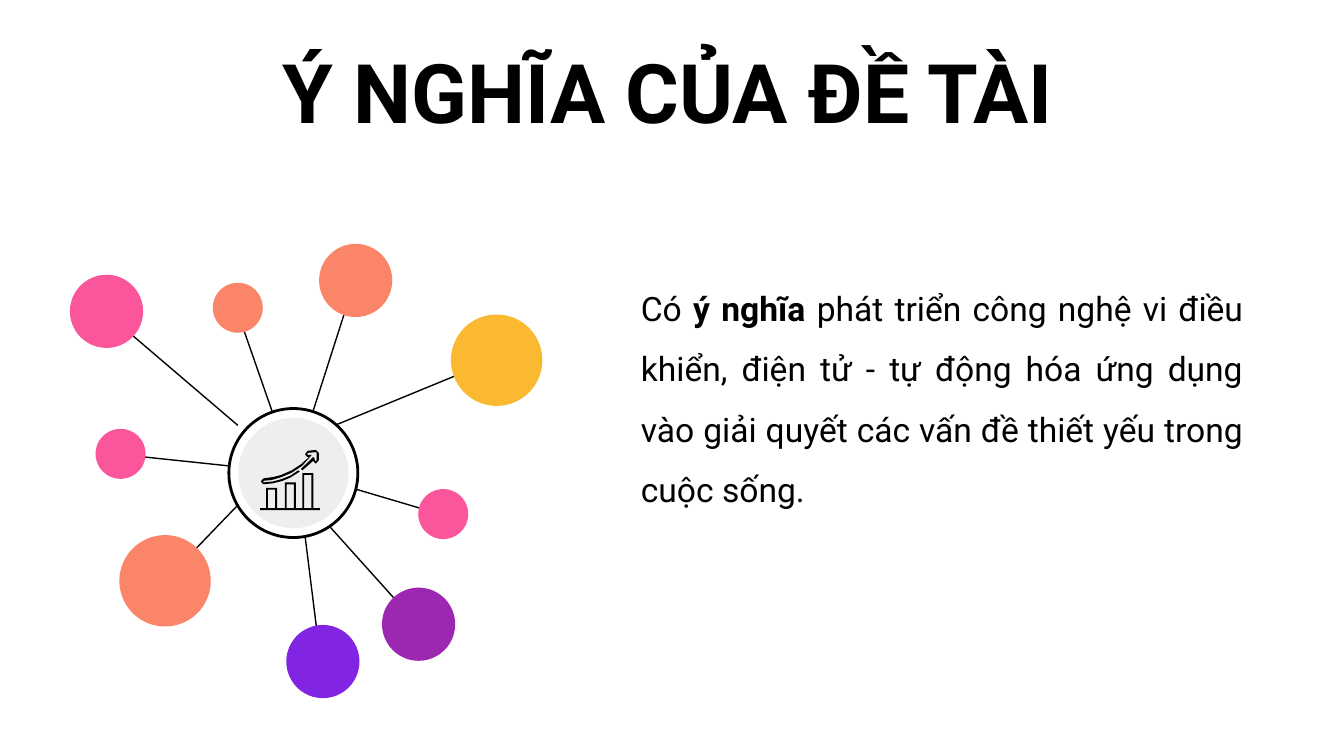
from pptx import Presentation
from pptx.dml.color import RGBColor
from pptx.enum.shapes import MSO_CONNECTOR, MSO_SHAPE
from pptx.enum.text import PP_ALIGN
from pptx.util import Inches, Pt
from lxml import etree

OVAL = MSO_SHAPE.OVAL
STRAIGHT = MSO_CONNECTOR.STRAIGHT
CENTER, JUSTIFY = PP_ALIGN.CENTER, PP_ALIGN.JUSTIFY
BLACK = RGBColor(0x00, 0x00, 0x00)
WHITE = RGBColor(0xFF, 0xFF, 0xFF)
GRAY = RGBColor(0xEE, 0xEE, 0xEE)
YELLOW = RGBColor(0xFB, 0xB8, 0x31)
CORAL = RGBColor(0xFB, 0x85, 0x69)
PINK = RGBColor(0xFB, 0x56, 0x9C)
PURPLE = RGBColor(0x9C, 0x27, 0xB0)
VIOLET = RGBColor(0x82, 0x25, 0xE2)
EFFECTS = "{http://schemas.openxmlformats.org/drawingml/2006/main}effectLst"

deck = Presentation()
deck.slide_width = Inches(10)
deck.slide_height = deck.slide_width * 9 // 16
slide = deck.slides.add_slide(deck.slide_layouts[6])
shapes = slide.shapes
CELL = deck.slide_width / 100


def grid(*cells):
    return [round(cell * CELL) for cell in cells]


def paint(shape, color, width=0):
    shape.shadow.inherit = False
    shape.fill.solid()
    shape.fill.fore_color.rgb = color
    if width:
        shape.line.color.rgb = BLACK
        shape.line.width = Pt(width)
    else:
        shape.line.fill.background()


LARGE, MEDIUM, SMALL = 6.8, 5.45, 3.72
nodes = [
    (36.95, 26.8, LARGE, YELLOW, (37.2, 26.6, 24.8, 31.7)),
    (12.28, 43.22, LARGE, CORAL, (12.1, 43.4, 19.8, 35.4)),
    (26.47, 20.87, MEDIUM, CORAL, (26.4, 20.9, 23.2, 30.9)),
    (7.93, 23.17, MEDIUM, PINK, (7.8, 23.2, 17.7, 31.65)),
    (31.15, 46.45, MEDIUM, PURPLE, (31.2, 46.6, 22.3, 36.7)),
    (24.03, 49.23, MEDIUM, VIOLET, (23.9, 49.5, 22.3, 36.7)),
    (8.97, 33.77, SMALL, PINK, (8.8, 33.8, 18.3, 34.8)),
    (32.98, 38.25, SMALL, PINK, (32.9, 38.3, 23.1, 35.4)),
    (17.69, 22.9, SMALL, CORAL, (17.6, 23, 20.7, 31.9)),
]
hubs = [(21.83, 35.2, 9.6, WHITE, 1.5), (21.83, 35.2, 8.2, GRAY, 0)]

for x, y, size, color, ends in nodes:
    spoke = shapes.add_connector(STRAIGHT, *grid(*ends))
    spoke.line.color.rgb = BLACK
    spoke.line.width = Pt(0.75)
    etree.SubElement(spoke.element.spPr, EFFECTS)
    dot = shapes.add_shape(OVAL, *grid(x - size / 2, y - size / 2, size, size))
    paint(dot, color)

for x, y, size, color, width in hubs:
    hub = shapes.add_shape(OVAL, *grid(x - size / 2, y - size / 2, size, size))
    paint(hub, color, width)

FLOOR, BASE, EDGE = 37.8, 37.95, 0.14
bars = [(19.8, 36.3), (21.2, 35.9), (22.5, 35.2)]
chart = [[(19.35, FLOOR), (23.8, FLOOR), (23.8, BASE), (19.35, BASE)]]
for left, top in bars:
    right = left + 0.82
    chart.append([
        (left, FLOOR), (left, top), (right, top), (right, FLOOR),
        (right - EDGE, FLOOR), (right - EDGE, top + EDGE),
        (left + EDGE, top + EDGE), (left + EDGE, FLOOR),
    ])
arrow = [[
    (19.6, 35.6), (20.3, 35.5), (20.9, 35.35), (21.7, 35),
    (22.4, 34.55), (23, 34), (22.85, 34), (22.7, 33.8), (22.9, 33.55),
    (23.5, 33.48), (23.72, 33.7), (23.72, 34.25), (23.5, 34.5),
    (23.3, 34.3), (22.5, 35), (22.4, 34.9), (23.3, 34), (23.4, 34.1),
    (23.45, 34.33), (23.57, 34.25), (23.57, 33.65), (22.9, 33.7),
    (22.85, 33.84), (23.2, 33.85), (22.5, 34.65), (21.7, 35.18),
    (20.9, 35.52), (20.2, 35.72), (19.6, 35.78), (19.6, 35.9),
    (20.3, 35.83), (21, 35.64), (21.6, 35.4), (22.2, 35), (22.3, 35.1),
    (21.6, 35.54), (21, 35.79), (20.3, 35.97), (19.6, 36.03),
    (19.4, 35.83),
]]

for parts in (chart, arrow):
    pen = shapes.build_freeform(*grid(*parts[0][0]))
    for part in parts:
        pen.move_to(*grid(*part[0]))
        pen.add_line_segments([grid(*spot) for spot in part[1:]], close=True)
    paint(pen.convert_to_shape(), BLACK)

texts = [
    ((11.3, 2.6, 76.8, 8.4), CENTER, 1, 44, [("Ý NGHĨA CỦA ĐỀ TÀI", True)]),
    ((46.7, 19.43, 46.8, 27.8), JUSTIFY, 1.5, 18, [
        ("Có ", False),
        ("ý nghĩa ", True),
        ("phát triển công nghệ vi điều khiển, điện tử - tự động hóa "
         "ứng dụng vào giải quyết các vấn đề thiết yếu trong cuộc sống.",
         False),
    ]),
]
for place, align, space, size, runs in texts:
    frame = shapes.add_textbox(*grid(*place)).text_frame
    frame.word_wrap = True
    para = frame.paragraphs[0]
    para.alignment, para.line_spacing = align, space
    for words, bold in runs:
        run = para.add_run()
        run.text = words
        style = {"name": "Roboto", "size": Pt(size), "bold": bold}
        for key, value in style.items():
            setattr(run.font, key, value)
        run.font.color.rgb = BLACK

deck.save("out.pptx")
